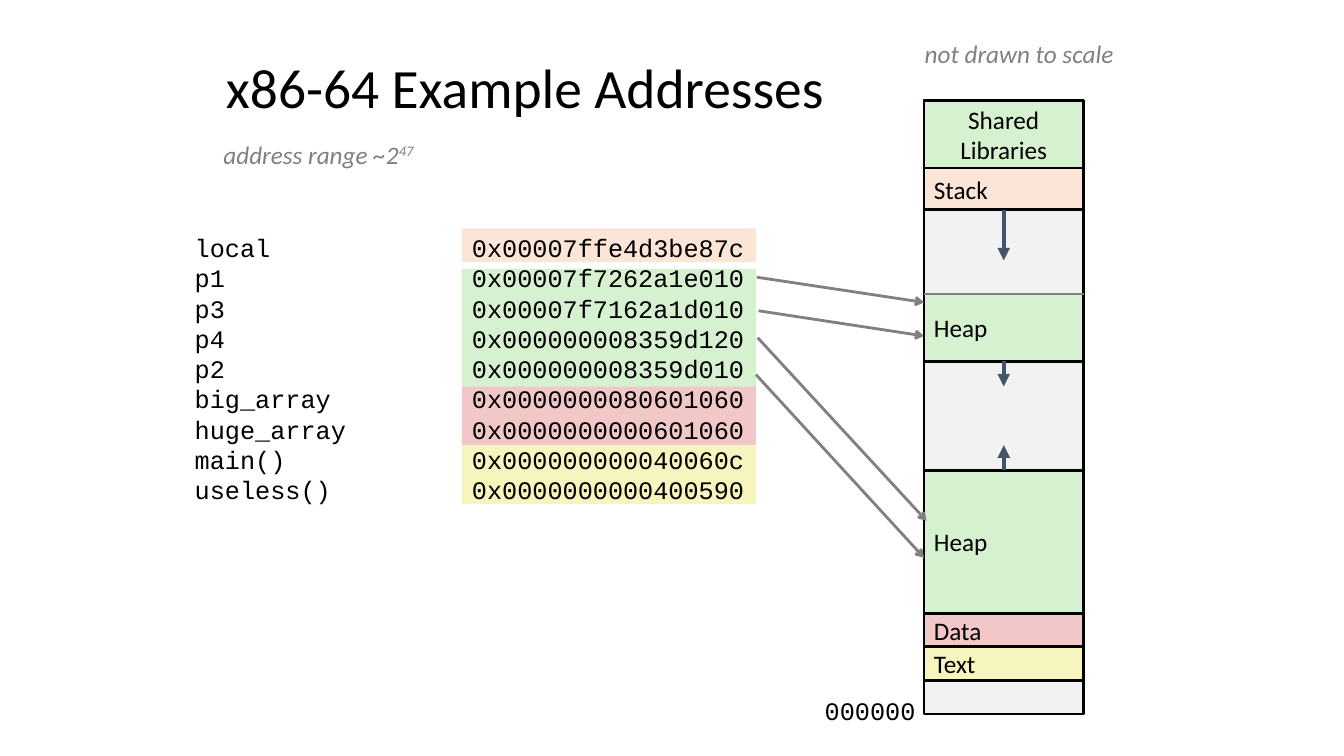
from dataclasses import dataclass

from lxml.etree import SubElement
from pptx import Presentation
from pptx.dml.color import RGBColor
from pptx.enum.shapes import MSO_CONNECTOR as Connector
from pptx.enum.shapes import MSO_SHAPE as Shape
from pptx.enum.text import MSO_ANCHOR as Anchor
from pptx.enum.text import MSO_AUTO_SIZE as AutoSize
from pptx.enum.text import PP_ALIGN as Align
from pptx.oxml.ns import qn
from pptx.util import Emu, Inches, Pt

BLACK = RGBColor(0x00, 0x00, 0x00)
GRAY = RGBColor(0x80, 0x80, 0x80)
SLATE = RGBColor(0x44, 0x54, 0x6A)
UNUSED = RGBColor(0xF2, 0xF2, 0xF2)
GREEN = RGBColor(0xD5, 0xF1, 0xCF)
PEACH = RGBColor(0xFB, 0xE5, 0xD6)
PINK = RGBColor(0xF1, 0xC7, 0xC7)
YELLOW = RGBColor(0xF6, 0xF5, 0xBD)

SANS, MONO = "Calibri", "Courier New"
CELL = Inches(1) // 12  # the grid has 160 columns and 90 rows
MEMORY_LEFT, MEMORY_WIDTH = 110, 19
MEMORY_MIDDLE = MEMORY_LEFT + MEMORY_WIDTH / 2


@dataclass(frozen=True)
class Band:
    """Filled strip behind a group of addresses."""
    top: float
    rows: float
    color: RGBColor


@dataclass(frozen=True)
class Region:
    """Labelled part of the memory column."""
    top: float
    rows: float
    color: RGBColor
    lines: tuple[str, ...] = ()
    align: Align = Align.LEFT


@dataclass(frozen=True)
class Line:
    start: tuple[float, float]
    end: tuple[float, float]
    color: RGBColor = GRAY
    width: float = 2
    head: str = "arrow"


@dataclass(frozen=True)
class Caption:
    left: float
    top: float
    columns: float
    text: str
    font: str = SANS
    color: RGBColor = GRAY
    inset: float = 0.1
    superscript: str = ""


BANDS = [
    Band(27.2, 4, PEACH),
    Band(32, 14, GREEN),
    Band(46, 7, PINK),
    Band(53, 7, YELLOW),
]
REGIONS = [
    Region(12, 73, UNUSED),
    Region(12, 8, GREEN, ("Shared", "Libraries"), Align.CENTER),
    Region(20, 5, PEACH, ("Stack",)),
    Region(35, 8, GREEN, ("Heap",)),
    Region(56, 17, GREEN, ("Heap",)),
    Region(73, 4, PINK, ("Data",)),
    Region(77, 4, YELLOW, ("Text",)),
]
LINES = [
    # Growth directions
    Line((MEMORY_MIDDLE, 25), (MEMORY_MIDDLE, 31), SLATE, 3, "triangle"),
    Line((MEMORY_MIDDLE, 43), (MEMORY_MIDDLE, 46), SLATE, 3, "triangle"),
    Line((MEMORY_MIDDLE, 56), (MEMORY_MIDDLE, 53), SLATE, 3, "triangle"),
    # Pointers into the heaps
    Line((90.1, 33), (MEMORY_LEFT, 36)),
    Line((90.3, 37), (MEMORY_LEFT, 40)),
    Line((90.2, 40.2), (110.3, 62)),
    Line((90, 44.6), (MEMORY_LEFT, 66.4)),
    # Upper edge of the mapped heap
    Line((MEMORY_LEFT, 35), (MEMORY_LEFT + MEMORY_WIDTH, 35), head=""),
]
CAPTIONS = [
    Caption(26, 16, 24.4, "address range ~2", inset=0.05, superscript="47"),
    Caption(108.9, 4, 25.5, "not drawn to scale"),
    Caption(97, 82.2, 13.3, "000000", MONO, BLACK),
]
ADDRESSES = {
    "local": "0x00007ffe4d3be87c",
    "p1": "0x00007f7262a1e010",
    "p3": "0x00007f7162a1d010",
    "p4": "0x000000008359d120",
    "p2": "0x000000008359d010",
    "big_array": "0x0000000080601060",
    "huge_array": "0x0000000000601060",
    "main()": "0x000000000040060c",
    "useless()": "0x0000000000400590",
}


def cells(count: float) -> Emu:
    return Emu(round(count * CELL))


def add_span(para, text: str, font=SANS, color=BLACK, size=18.0, italic=False):
    span = para.add_run()
    span.text = text
    span.font.name, span.font.size = font, Pt(size)
    span.font.color.rgb = color
    span.font.italic = italic
    return span


def next_para(frame, index: int):
    return frame.add_paragraph() if index else frame.paragraphs[0]


def add_block(page, left: float, top: float, columns: float, rows: float, color: RGBColor):
    box = page.shapes.add_shape(
        Shape.RECTANGLE, cells(left), cells(top), cells(columns), cells(rows))
    box.shadow.inherit = False
    box.fill.solid()
    box.fill.fore_color.rgb = color
    box.line.fill.background()
    return box


def add_region(page, region: Region) -> None:
    box = add_block(page, MEMORY_LEFT, region.top, MEMORY_WIDTH, region.rows, region.color)
    box.line.color.rgb, box.line.width = BLACK, Pt(2)
    frame = box.text_frame
    frame.word_wrap, frame.vertical_anchor = True, Anchor.MIDDLE
    for index, text in enumerate(region.lines):
        para = next_para(frame, index)
        para.alignment = region.align
        add_span(para, text)


def add_line(page, line: Line) -> None:
    connector = page.shapes.add_connector(
        Connector.STRAIGHT, *map(cells, line.start + line.end))
    connector.line.color.rgb, connector.line.width = line.color, Pt(line.width)
    if line.head:
        SubElement(connector.line._get_or_add_ln(), qn("a:tailEnd"), type=line.head)
    SubElement(connector._element.spPr, qn("a:effectLst"))


def add_caption(page, caption: Caption) -> None:
    box = page.shapes.add_textbox(
        cells(caption.left), cells(caption.top), cells(caption.columns), cells(4.8))
    frame = box.text_frame
    frame.word_wrap, frame.auto_size = False, AutoSize.SHAPE_TO_FIT_TEXT
    frame.margin_left = frame.margin_right = Inches(caption.inset)
    para, italic = frame.paragraphs[0], caption.font == SANS
    add_span(para, caption.text, caption.font, caption.color, italic=italic)
    if caption.superscript:
        span = add_span(para, caption.superscript, caption.font, caption.color, italic=italic)
        span.font._element.set("baseline", "30000")


def add_addresses(page) -> None:
    box = page.shapes.add_textbox(cells(22), cells(27.1), cells(74), cells(33.8))
    frame = box.text_frame
    frame.word_wrap, frame.auto_size = True, AutoSize.SHAPE_TO_FIT_TEXT
    for index, (name, address) in enumerate(ADDRESSES.items()):
        para = next_para(frame, index)
        stops = SubElement(para._p.get_or_add_pPr(), qn("a:tabLst"))
        SubElement(stops, qn("a:tab"), pos=str(cells(33)), algn="l")
        add_span(para, f"{name}\t{address}", MONO)


def set_title(page, text: str) -> None:
    title = page.shapes.title
    title.left, title.top = cells(25.7), cells(7)
    title.width, title.height = cells(86.3), cells(7.5)
    frame = title.text_frame
    frame.auto_size, frame.vertical_anchor = AutoSize.NONE, Anchor.MIDDLE
    para = frame.paragraphs[0]
    para.alignment, para.line_spacing = Align.LEFT, 0.9
    add_span(para, text, size=39.6)


def main() -> None:
    deck = Presentation()
    deck.slide_width, deck.slide_height = cells(160), cells(90)
    page = deck.slides.add_slide(deck.slide_layouts[5])
    set_title(page, "x86-64 Example Addresses")
    # Address table over its colour bands
    for band in BANDS:
        add_block(page, 55, band.top, 35, band.rows, band.color)
    add_addresses(page)
    # Memory column with captions and arrows
    for region in REGIONS:
        add_region(page, region)
    for caption in CAPTIONS:
        add_caption(page, caption)
    for line in LINES:
        add_line(page, line)
    deck.save("out.pptx")


if __name__ == "__main__":
    main()
